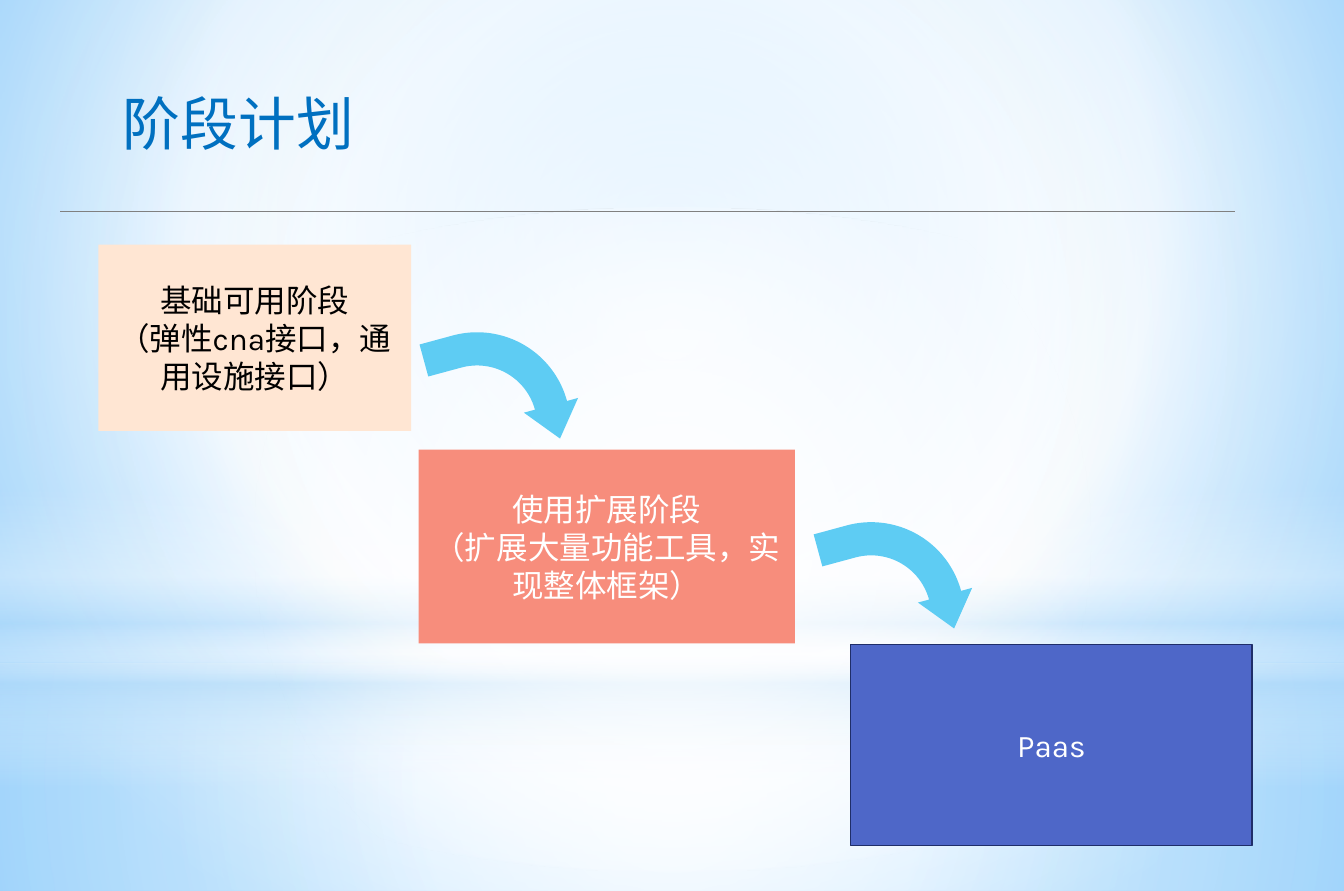
from dataclasses import dataclass
from typing import Any, Optional

from pptx import Presentation
from pptx import util as u
from pptx.dml.color import RGBColor
from pptx.enum import shapes, text
from pptx.oxml import parse_xml
from pptx.oxml.ns import nsdecls, qn

SHAPE = shapes.MSO_SHAPE


@dataclass
class Gradient:
    stops: list[tuple[int, str, int]]
    focus: Optional[tuple[int, int, int, int]] = None


@dataclass
class Glow:
    kind: Any
    top: float
    height: float
    gradient: Gradient


@dataclass
class Stage:
    label: str
    box: tuple[float, float, float, float]
    fill: str
    color: str = "FFFFFF"
    border: Optional[str] = None


CENTER = (50, 50, 50, 50)
BACKDROP = Gradient([(0, "9ED5FF", 100), (60, "FFFFFF", 100), (100, "5BB9FF", 100)], (20, 10, 20, 60))
GLOWS = [
    Glow(SHAPE.RECTANGLE, 7.02, 2.41,
         Gradient([(0, "FFFFFF", 91), (37, "FFFFFF", 76), (100, "B4DCFA", 79)], CENTER)),
    Glow(SHAPE.RECTANGLE, 0, 7.02,
         Gradient([(0, "FFFFFF", 89), (48, "FFFFFF", 62), (100, "B4DCFA", 79)], CENTER)),
    Glow(SHAPE.RECTANGLE, 5.18, 3.14,
         Gradient([(0, "FFFFFF", 0), (29, "FFFFFF", 30), (45, "B4DCFA", 40),
                   (55, "FFFFFF", 26), (65, "B4DCFA", 60), (100, "FFFFFF", 0)])),
    Glow(SHAPE.OVAL, 2.2, 7.02, Gradient([(0, "FFFFFF", 100), (56, "FFFFFF", 0)], CENTER)),
]
STAGES = [
    Stage("基础可用阶段\v（弹性cna接口，通用设施接口）", (1.04, 2.59, 3.31, 1.97), "FFE6D3", "000000"),
    Stage("使用扩展阶段\n（扩展大量功能工具，实现整体框架）", (4.43, 4.76, 3.98, 2.05), "F78D7C"),
    Stage("Paas", (9, 6.82, 4.25, 2.13), "4E67C8", border="1F2E69"),
]
ARROWS = [(4.65, 3.37), (8.82, 5.38)]


def rgb(value: str) -> RGBColor:
    return RGBColor.from_string(value)


def set_gradient(fill: Any, parent: Any, gradient: Gradient) -> None:
    fill.background()
    stops = "".join(
        f'<a:gs pos="{pos * 1000}"><a:srgbClr val="{color}"><a:alpha val="{alpha * 1000}"/></a:srgbClr></a:gs>'
        for pos, color, alpha in gradient.stops)
    if gradient.focus:
        sides = " ".join(f'{side}="{v * 1000}"' for side, v in zip("ltrb", gradient.focus))
        direction = f'<a:path path="circle"><a:fillToRect {sides}/></a:path>'
    else:
        direction = '<a:lin ang="5400000" scaled="0"/>'
    xml = f'<a:gradFill {nsdecls("a")} rotWithShape="1"><a:gsLst>{stops}</a:gsLst>{direction}</a:gradFill>'
    parent.replace(parent.find(qn("a:noFill")), parse_xml(xml))


def add_shape(s: Any, kind: Any, box: tuple[float, float, float, float],
              fill: Optional[str] = None, border: Optional[str] = None) -> Any:
    sp = s.shapes.add_shape(kind, *map(u.Inches, box))
    sp.shadow.inherit = False
    if fill:
        sp.fill.solid()
        sp.fill.fore_color.rgb = rgb(fill)
    if border:
        sp.line.color.rgb = rgb(border)
        sp.line.width = u.Pt(1.25)
    else:
        sp.line.fill.background()
    return sp


def write(sp: Any, content: str, *, size: float, color: str, font: str, align: Any,
          anchor: Any, spacing: float = 1.0) -> None:
    tf = sp.text_frame
    tf.word_wrap = True
    tf.vertical_anchor = anchor
    tf.text = content
    for p in tf.paragraphs:
        p.alignment = align
        p.line_spacing = spacing
        for r in p.runs:
            r.font.size = u.Pt(size)
            r.font.name = font
            r.font.color.rgb = rgb(color)


def add_title(s: Any, content: str) -> None:
    title = s.shapes.title
    s.shapes.element.append(title.element)
    title.left, title.top, title.width, title.height = map(u.Inches, (1.16, 0.94, 12, 0.88))
    write(title, content, size=44, color="0070C0", font="Noto Sans CJK SC",
          align=text.PP_ALIGN.LEFT, anchor=text.MSO_ANCHOR.TOP, spacing=0.9)
    tf = title.text_frame
    tf.auto_size = text.MSO_AUTO_SIZE.NONE
    tf.margin_left = tf.margin_right = u.Inches(0.14)
    tf.margin_top = tf.margin_bottom = u.Inches(0.07)


def add_rule(s: Any) -> None:
    line = s.shapes.add_connector(shapes.MSO_CONNECTOR.STRAIGHT,
                                  *map(u.Inches, (0.64, 2.24, 13.07, 2.24)))
    line.line.color.rgb = rgb("808080")
    line.line.width = u.Pt(0.75)
    line.element.spPr.append(parse_xml(f'<a:effectLst {nsdecls("a")}/>'))


def main() -> None:
    prs = Presentation()
    prs.slide_width, prs.slide_height = u.Inches(14.22), u.Inches(9.43)
    s = prs.slides.add_slide(prs.slide_layouts[5])

    fill = s.background.fill
    fill.background()
    set_gradient(fill, s.element.xpath(".//p:bgPr")[0], BACKDROP)
    for glow in GLOWS:
        sp = add_shape(s, glow.kind, (0, glow.top, 14.22, glow.height))
        set_gradient(sp.fill, sp.element.spPr, glow.gradient)

    add_title(s, "阶段计划")
    add_rule(s)
    for stage in STAGES:
        sp = add_shape(s, SHAPE.RECTANGLE, stage.box, stage.fill, stage.border)
        write(sp, stage.label, size=24, color=stage.color, font="Karla",
              align=text.PP_ALIGN.CENTER, anchor=text.MSO_ANCHOR.MIDDLE)
    for left, top in ARROWS:
        arrow = add_shape(s, SHAPE.BENT_ARROW, (left, top, 1.35, 1.47), "5ECCF3")
        arrow.rotation = 74.8
        for i, value in enumerate((0.26, 0.22, 0.27, 0.73)):
            arrow.adjustments[i] = value

    prs.save("out.pptx")


if __name__ == "__main__":
    main()
